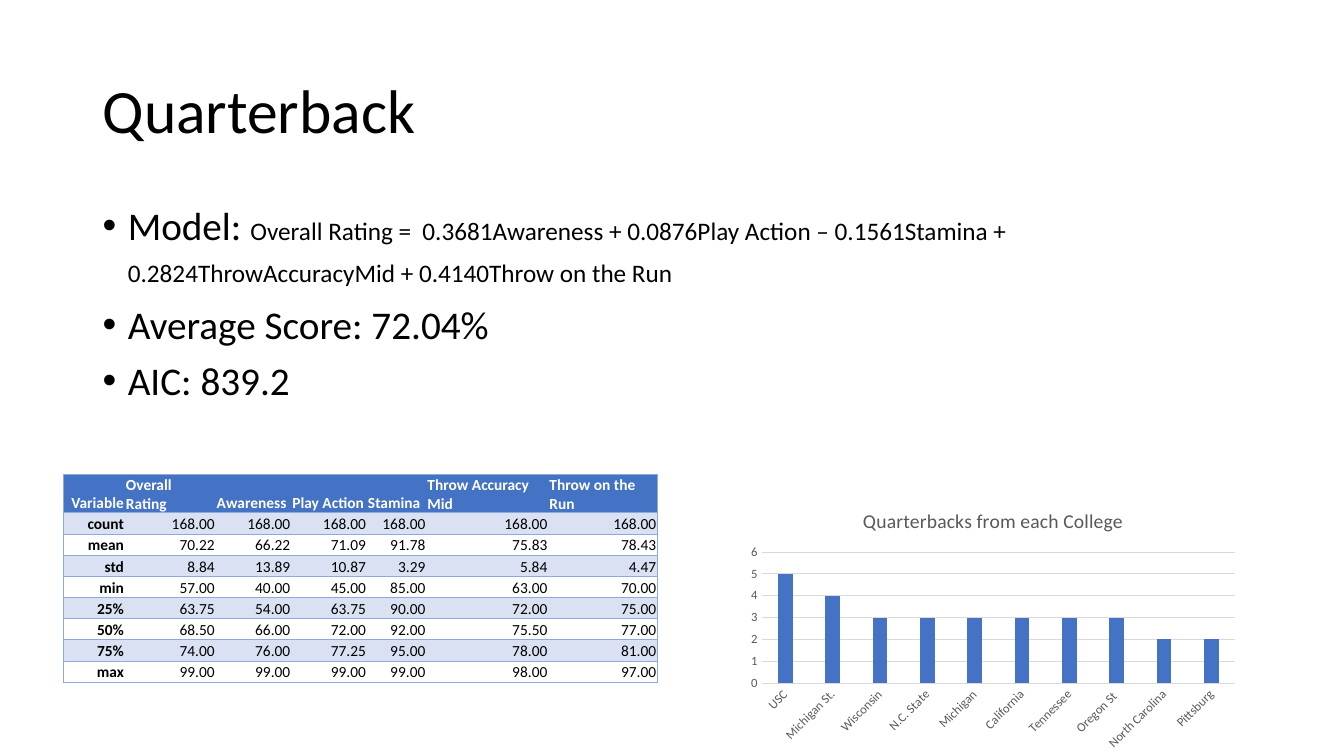
from pptx import Presentation
from pptx.chart.data import CategoryChartData
from pptx.dml.color import RGBColor
from pptx.enum.chart import XL_CHART_TYPE, XL_TICK_MARK
from pptx.enum.text import MSO_ANCHOR, PP_ALIGN
from pptx.oxml import parse_xml
from pptx.oxml.ns import nsdecls
from pptx.util import Inches, Pt

COLORS = {"text": "000000", "header_text": "FFFFFF", "blue": "4472C4",
          "band": "D9E1F2", "border": "8EA9DB", "grid": "D9D9D9", "label": "595959"}

TITLE = "Quarterback"
FORMULA = ("Overall Rating =  0.3681Awareness + 0.0876Play Action – 0.1561Stamina + "
           "0.2824ThrowAccuracyMid + 0.4140Throw on the Run")
BULLETS = [
    [("Model: ", 28), (FORMULA, 18), (" ", 28)],
    [("Average Score: 72.04%", 28)],
    [("AIC: 839.2", 28)],
]

STATISTICS = [
    ["Variable", "Overall Rating", "Awareness", "Play Action", "Stamina",
     "Throw Accuracy Mid", "Throw on the Run"],
    ["count"] + ["168.00"] * 6,
    ["mean", "70.22", "66.22", "71.09", "91.78", "75.83", "78.43"],
    ["std", "8.84", "13.89", "10.87", "3.29", "5.84", "4.47"],
    ["min", "57.00", "40.00", "45.00", "85.00", "63.00", "70.00"],
    ["25%", "63.75", "54.00", "63.75", "90.00", "72.00", "75.00"],
    ["50%", "68.50", "66.00", "72.00", "92.00", "75.50", "77.00"],
    ["75%", "74.00", "76.00", "77.25", "95.00", "78.00", "81.00"],
    ["max", "99.00", "99.00", "99.00", "99.00", "98.00", "97.00"],
]
COLUMN_WIDTHS = [0.61, 0.9, 0.75, 0.75, 0.59, 1.21, 1.08]
ROW_HEIGHT = 0.21

COLLEGES = {"USC": 5, "Michigan St.": 4, "Wisconsin": 3, "N.C. State": 3,
            "Michigan": 3, "California": 3, "Tennessee": 3, "Oregon St ": 3,
            "North Carolina": 2, "Pittsburg": 2}


class SlideBuilder:
    def __init__(self, slide, font="Calibri"):
        self.slide = slide
        self.font = font

    def style(self, font, size, color="text", bold=False):
        font.name = self.font
        font.size = Pt(size)
        font.bold = bold
        font.color.rgb = RGBColor.from_string(COLORS[color])

    def text(self, box, paragraphs, anchor=MSO_ANCHOR.TOP, bulleted=False):
        frame = self.slide.shapes.add_textbox(*map(Inches, box)).text_frame
        frame.word_wrap = True
        frame.vertical_anchor = anchor
        for index, pieces in enumerate(paragraphs):
            paragraph = frame.add_paragraph() if index else frame.paragraphs[0]
            paragraph.line_spacing = 0.9
            if bulleted:
                paragraph.space_before = Pt(10)
                properties = paragraph._p.get_or_add_pPr()
                properties.set("marL", str(Inches(0.25)))
                properties.set("indent", str(Inches(-0.25)))
                for tag in ('buFont %s typeface="Arial"', 'buChar %s char="•"'):
                    properties.append(parse_xml(f"<a:{tag % nsdecls('a')}/>"))
            for words, size in pieces:
                run = paragraph.add_run()
                run.text = words
                self.style(run.font, size)

    def borders(self, cell, sides):
        properties = cell._tc.get_or_add_tcPr()
        for position, side in enumerate("LRTB"):
            paint = (f'<a:solidFill><a:srgbClr val="{COLORS["border"]}"/></a:solidFill>'
                     if side in sides else "<a:noFill/>")
            line = parse_xml(f'<a:ln{side} {nsdecls("a")} w="{Pt(0.5)}">{paint}</a:ln{side}>')
            properties.insert(position, line)

    def cell(self, cell, words, size, color, bold, align, fill):
        cell.margin_left = cell.margin_right = cell.margin_top = Inches(0.01)
        cell.margin_bottom = 0
        cell.vertical_anchor = MSO_ANCHOR.BOTTOM
        if fill:
            cell.fill.solid()
            cell.fill.fore_color.rgb = RGBColor.from_string(COLORS[fill])
        else:
            cell.fill.background()
        paragraph = cell.text_frame.paragraphs[0]
        paragraph.text = words
        paragraph.alignment = align
        self.style(paragraph.runs[0].font, size, color, bold)

    def table(self, left, top, rows, widths, row_height):
        table = self.slide.shapes.add_table(
            len(rows), len(widths), Inches(left), Inches(top),
            Inches(sum(widths)), Inches(row_height * len(rows))).table
        for column, width in zip(table.columns, widths):
            column.width = Inches(width)
        last = len(widths) - 1
        for r, row in enumerate(rows):
            table.rows[r].height = Inches(row_height)
            for c, words in enumerate(row):
                header = r == 0
                cell = table.cell(r, c)
                self.cell(cell, words, 11,
                          color="header_text" if header else "text",
                          bold=header or c == 0,
                          align=PP_ALIGN.LEFT if header and c else PP_ALIGN.RIGHT,
                          fill="blue" if header else "band" if r % 2 else None)
                self.borders(cell, "TB" + ("L" if c == 0 else "R" if c == last else ""))

    def column_chart(self, box, title, values):
        data = CategoryChartData()
        data.categories = list(values)
        data.add_series("Series 1", list(values.values()))
        chart = self.slide.shapes.add_chart(
            XL_CHART_TYPE.COLUMN_CLUSTERED, *map(Inches, box), data).chart
        self.style(chart.font, 10)
        chart.has_legend = False
        chart.has_title = True
        heading = chart.chart_title.text_frame.paragraphs[0]
        heading.text = title
        self.style(heading.runs[0].font, 14, "label")

        # Columns
        plot = chart.plots[0]
        plot.vary_by_categories = False
        plot.gap_width = 219
        plot.overlap = -27
        columns = plot.series[0].format.fill
        columns.solid()
        columns.fore_color.rgb = RGBColor.from_string(COLORS["blue"])

        # Axes
        colleges, counts = chart.category_axis, chart.value_axis
        for axis in (colleges, counts):
            axis.major_tick_mark = axis.minor_tick_mark = XL_TICK_MARK.NONE
            self.style(axis.tick_labels.font, 9, "label")
        counts.minimum_scale, counts.maximum_scale, counts.major_unit = 0, 6, 1
        counts.has_major_gridlines = True
        counts.format.line.fill.background()
        for line in (colleges.format.line, counts.major_gridlines.format.line):
            line.width = Pt(0.75)
            line.color.rgb = RGBColor.from_string(COLORS["grid"])
        label_body = colleges._element.xpath("c:txPr/a:bodyPr")[0]
        label_body.set("rot", "-2700000")
        label_body.set("vert", "horz")


def main():
    presentation = Presentation()
    presentation.slide_width = Inches(13.33)
    presentation.slide_height = Inches(7.5)
    builder = SlideBuilder(presentation.slides.add_slide(presentation.slide_layouts[6]))

    # Title and model summary
    builder.text((0.92, 0.4, 11.5, 1.45), [[(TITLE, 44)]], MSO_ANCHOR.MIDDLE)
    builder.text((0.92, 2, 11.5, 4.76), BULLETS, bulleted=True)

    # Colleges chart and statistics table
    builder.column_chart((7.35, 4.89, 5, 2.61), "Quarterbacks from each College", COLLEGES)
    builder.table(0.63, 4.71, STATISTICS, COLUMN_WIDTHS, ROW_HEIGHT)

    presentation.save("out.pptx")


if __name__ == "__main__":
    main()
